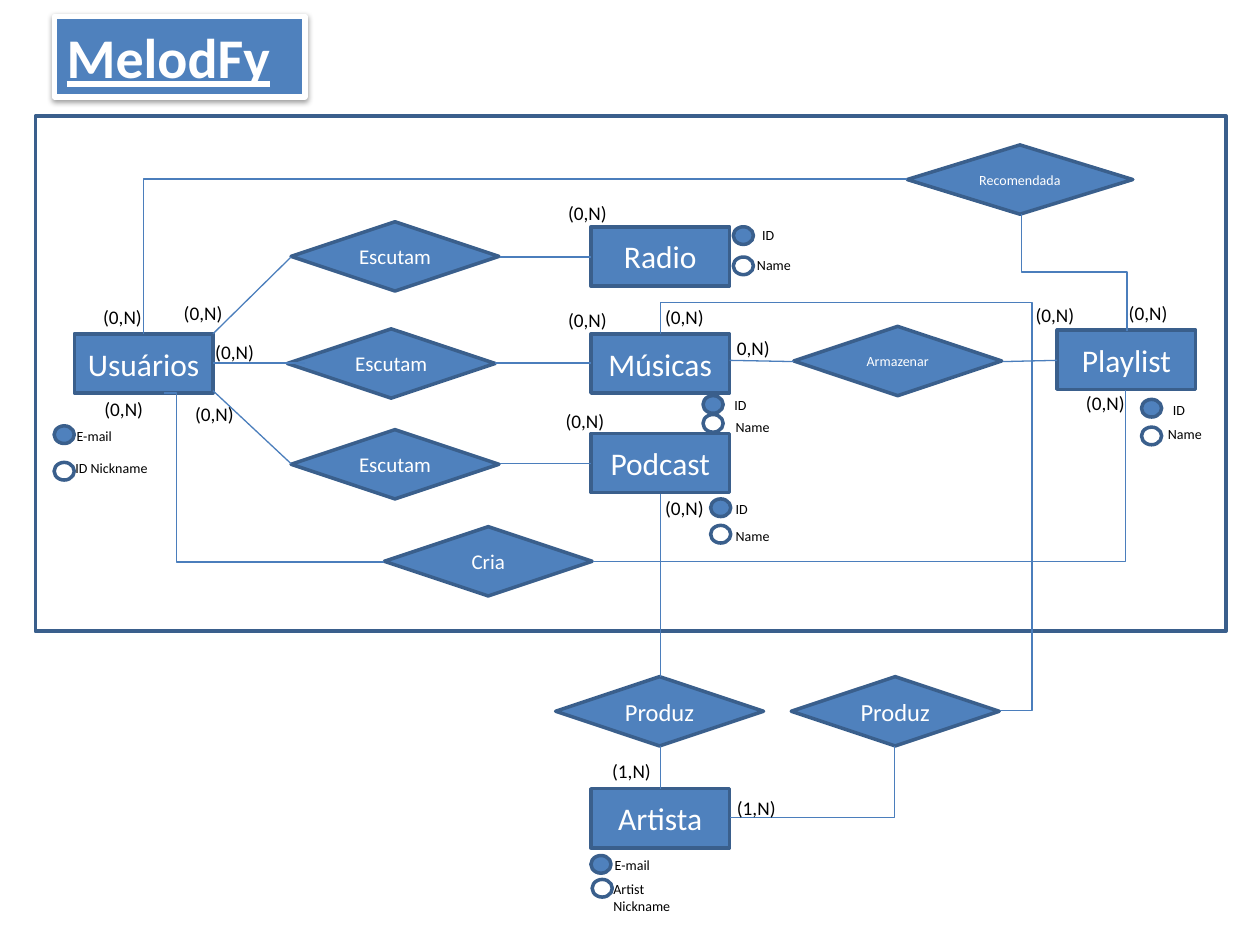
from lxml import etree
from pptx import Presentation
from pptx.dml.color import RGBColor
from pptx.enum.shapes import MSO_CONNECTOR, MSO_SHAPE
from pptx.enum.text import MSO_ANCHOR, MSO_AUTO_SIZE, PP_ALIGN
from pptx.oxml import parse_xml
from pptx.oxml.ns import qn
from pptx.util import Inches, Pt

RECT = MSO_SHAPE.RECTANGLE
DIAMOND = MSO_SHAPE.DIAMOND
OVAL = MSO_SHAPE.OVAL
STRAIGHT = MSO_CONNECTOR.STRAIGHT
ELBOW = MSO_CONNECTOR.ELBOW
TOP = MSO_ANCHOR.TOP
MIDDLE = MSO_ANCHOR.MIDDLE
LEFT = PP_ALIGN.LEFT
CENTER = PP_ALIGN.CENTER
GROW = MSO_AUTO_SIZE.SHAPE_TO_FIT_TEXT

BLUE = RGBColor(0x4F, 0x81, 0xBD)
NAVY = RGBColor(0x3A, 0x5F, 0x8C)
LINK = RGBColor(0x4B, 0x7E, 0xBC)
WHITE = RGBColor(255, 255, 255)
BLACK = RGBColor(0, 0, 0)
FONT = "Calibri"
SHADOW = (
    '<a:effectLst xmlns:a="http://schemas.openxmlformats.org/drawingml/2006/main">'
    '<a:outerShdw blurRad="40000" dist="20000" dir="5400000" rotWithShape="0">'
    '<a:srgbClr val="000000"><a:alpha val="38000"/></a:srgbClr>'
    "</a:outerShdw></a:effectLst>"
)

ENTITIES = [
    ("Usuários", 0.59, 2.65), ("Playlist", 8.39, 2.62), ("Podcast", 4.69, 3.44),
    ("Radio", 4.69, 1.8), ("Músicas", 4.69, 2.65), ("Artista", 4.69, 6.26),
]
RELATIONS = [
    ("Escutam", 2.28, 2.61, 1.65, 12), ("Escutam", 2.31, 3.41, 1.65, 12),
    ("Escutam", 2.31, 1.76, 1.65, 12), ("Cria", 3.05, 4.18, 1.65, 12),
    ("Armazenar", 6.3, 2.59, 1.65, 8), ("Recomendada", 7.2, 1.15, 1.79, 8),
    ("Produz", 4.41, 5.37, 1.65, 14), ("Produz", 6.28, 5.37, 1.65, 14),
]
STRAIGHT_LINKS = [
    (4.69, 2.04, 3.97, 2.04), (1.69, 2.88, 2.42, 2.88), (3.93, 2.88, 4.69, 2.88),
    (3.97, 3.68, 4.69, 3.68), (5.79, 2.86, 6.3, 2.87), (7.96, 2.87, 8.39, 2.86),
    (1.69, 2.65, 2.31, 2.04), (1.69, 3.1, 2.31, 3.68), (5.24, 5.92, 5.24, 6.26),
    (5.24, 3.92, 5.24, 5.37),
]
ELBOW_LINKS = [
    ("bentConnector2", (6.16, 5.55, 0.57, 1.31), 90, "", []),
    ("bentConnector4", (5.24, 2.65, 2.7, 2.99), 0, "hv", [-9300, 108400]),
    ("bentConnector3", (8.06, 1.74, 0.93, 0.84), 270, "h", []),
    ("bentConnector2", (1.14, 1.42, 6.06, 1.23), 180, "v", []),
    ("bentConnector3", (1.3, 3.12, 1.75, 1.34), 0, "", [5800]),
    ("bentConnector2", (6.14, 1.66, 1.36, 4.23), 90, "", []),
]
CARDINALITIES = {
    "(0,N)": [
        (1.61, 2.65), (4.41, 2.4), (4.39, 3.2), (4.41, 1.55), (8.12, 2.36),
        (1.45, 3.14), (1.36, 2.34), (8.86, 2.34), (0.73, 3.1), (8.52, 3.06),
        (0.72, 2.37), (5.18, 3.89), (5.18, 2.37),
    ],
    "0,N)": [(5.75, 2.62)],
    "(1,N)": [(4.76, 5.98), (5.75, 6.27)],
}
KEYS = [
    ("E-mail", (0.43, 3.38), (0.51, 3.34)), ("ID", (5.64, 3.96), (5.74, 3.92)),
    ("ID", (5.58, 3.14), (5.73, 3.1)), ("ID", (5.82, 1.8), (5.95, 1.75)),
    ("E-mail", (4.69, 6.79), (4.78, 6.75)), ("ID", (9.06, 3.17), (9.21, 3.14)),
]
FIELDS = [
    ("ID Nickname", (0.43, 3.67), (0.5, 3.6)), ("Name", (5.64, 4.17), (5.74, 4.14)),
    ("Name", (5.58, 3.29), (5.74, 3.27)), ("Name", (5.82, 2.04), (5.91, 1.99)),
    ("Artist Nickname", (4.7, 6.98), (4.77, 6.94)), ("Name", (9.06, 3.39), (9.17, 3.33)),
]


class Diagram:
    """Draws entity-relationship elements on one slide in a shared style."""

    def __init__(self, slide):
        self.slide = slide

    def add_text(self, box, text, size, color, align=CENTER, anchor=MIDDLE):
        frame = box.text_frame
        frame.word_wrap = True
        frame.vertical_anchor = anchor
        para = frame.paragraphs[0]
        para.alignment = align
        span = para.add_run()
        span.text = text
        span.font.name = FONT
        span.font.size = Pt(size)
        span.font.color.rgb = color
        return span

    def shape(self, kind, bounds, fill=BLUE, line=NAVY, weight=2):
        box = self.slide.shapes.add_shape(kind, *map(Inches, bounds))
        box.shadow.inherit = False
        if fill is None:
            box.fill.background()
        else:
            box.fill.solid()
            box.fill.fore_color.rgb = fill
        box.line.color.rgb = line
        box.line.width = Pt(weight)
        return box

    def title(self, text, bounds):
        box = self.shape(RECT, bounds, line=WHITE, weight=3)
        properties = box.element.spPr
        properties.replace(properties.find(qn("a:effectLst")), parse_xml(SHADOW))
        span = self.add_text(box, text, 32, WHITE, LEFT, TOP)
        span.font.bold = True
        span.font.underline = True

    def node(self, kind, text, bounds, size):
        self.add_text(self.shape(kind, bounds), text, size, WHITE)

    def label(self, text, bounds, size):
        box = self.slide.shapes.add_textbox(*map(Inches, bounds))
        self.add_text(box, text, size, BLACK, LEFT, TOP)
        box.text_frame.auto_size = GROW

    def link(self, kind, *ends):
        connector = self.slide.shapes.add_connector(kind, *map(Inches, ends))
        connector.line.color.rgb = LINK
        connector.line.width = Pt(0.75)
        etree.SubElement(connector.element.spPr, qn("a:effectLst"))
        return connector

    def elbow(self, preset, bounds, turn, flips, bends):
        left, top, width, height = bounds
        across = (left, left + width)
        down = (top, top + height)
        if "h" in flips:
            across = across[::-1]
        if "v" in flips:
            down = down[::-1]
        connector = self.link(ELBOW, across[0], down[0], across[1], down[1])
        properties = connector.element.spPr
        properties.find(qn("a:xfrm")).set("rot", str(turn * 60000))
        geometry = properties.find(qn("a:prstGeom"))
        geometry.set("prst", preset)
        guides = geometry.find(qn("a:avLst"))
        for number, bend in enumerate(bends, 1):
            etree.SubElement(guides, qn("a:gd"), name=f"adj{number}", fmla=f"val {bend}")

    def attribute(self, text, dot, spot, fill):
        self.shape(OVAL, (*dot, 0.16, 0.14), fill)
        width = 0.8 if "Nickname" in text else 0.63
        height = 0.37 if text.startswith("Artist") else 0.24
        self.label(text, (*spot, width, height), 8)


def main():
    deck = Presentation()
    deck.slide_width = Inches(10)
    deck.slide_height = Inches(7.5)
    page = Diagram(deck.slides.add_slide(deck.slide_layouts[6]))
    page.title("MelodFy", (0.43, 0.13, 1.99, 0.64))
    page.shape(RECT, (0.28, 0.92, 9.45, 4.09), fill=None)
    for text, left, top in ENTITIES:
        page.node(RECT, text, (left, top, 1.1, 0.47), 18)
    for text, left, top, width, size in RELATIONS:
        page.node(DIAMOND, text, (left, top, width, 0.55), size)
    for ends in STRAIGHT_LINKS:
        page.link(STRAIGHT, *ends)
    for elbow in ELBOW_LINKS:
        page.elbow(*elbow)
    for text, spots in CARDINALITIES.items():
        for spot in spots:
            page.label(text, (*spot, 0.55, 0.29), 11)
    for fill, attributes in ((BLUE, KEYS), (None, FIELDS)):
        for text, dot, spot in attributes:
            page.attribute(text, dot, spot, fill)
    deck.save("out.pptx")


if __name__ == "__main__":
    main()
